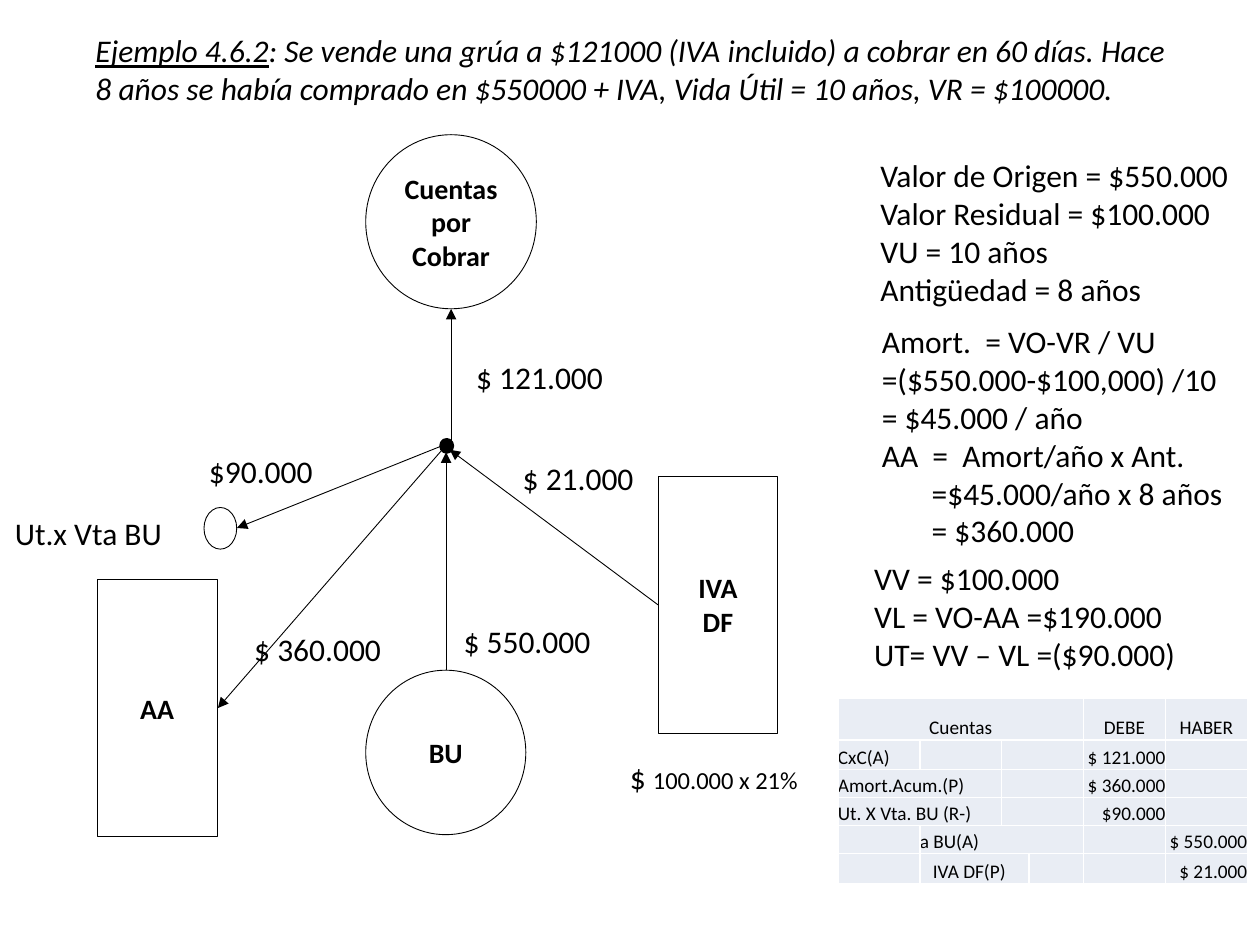
from dataclasses import dataclass

from lxml import etree
from pptx import Presentation
from pptx import util as u
from pptx.dml.color import RGBColor
from pptx.enum import shapes, text
from pptx.oxml import ns

Pt = u.Pt
LEFT, MID, RIGHT = text.PP_ALIGN.LEFT, text.PP_ALIGN.CENTER, text.PP_ALIGN.RIGHT
OVAL, RECT = shapes.MSO_SHAPE.OVAL, shapes.MSO_SHAPE.RECTANGLE


@dataclass(frozen=True)
class Theme:
    face: str = "Calibri"
    ink: RGBColor = RGBColor(0, 0, 0)
    pale: RGBColor = RGBColor(0xE9, 0xED, 0xF4)
    rule: str = "FFFFFF"
    body: float = 18
    node: float = 16
    note: float = 14
    cell: float = 11
    thin: float = 0.5


class Sketch:
    """Draws account diagrams on one slide in a single style."""

    def __init__(self, slide, theme):
        self.slide, self.theme = slide, theme

    def style(self, font, size, bold=False, italic=False):
        font.name, font.size = self.theme.face, Pt(size)
        font.bold, font.italic = bold, italic
        font.color.rgb = self.theme.ink

    def box(self, x, y, w, h, lines, wrap=True, indent=0, start=0, italic=False):
        frame = self.slide.shapes.add_textbox(Pt(x), Pt(y), Pt(w), Pt(h)).text_frame
        frame.word_wrap = wrap
        frame.auto_size = text.MSO_AUTO_SIZE.SHAPE_TO_FIT_TEXT
        for i, line in enumerate(lines):
            para = frame.paragraphs[0] if i == 0 else frame.add_paragraph()
            para.text = line
            if indent and i >= start:
                para._p.get_or_add_pPr().set("marL", str(Pt(indent)))
            self.style(para.font, self.theme.body, italic=italic)
        return frame.paragraphs[0]

    def label(self, x, y, w, words):
        return self.box(x, y, w, 29, [words], wrap=False)

    def node(self, kind, x, y, w, h, lines=(), solid=False):
        item = self.slide.shapes.add_shape(kind, Pt(x), Pt(y), Pt(w), Pt(h))
        item.shadow.inherit = False
        item.line.color.rgb = self.theme.ink
        item.line.width = Pt(2 if solid else self.theme.thin)
        if solid:
            item.fill.solid()
            item.fill.fore_color.rgb = self.theme.ink
        else:
            item.fill.background()
        frame = item.text_frame
        frame.margin_left = frame.margin_right = Pt(4)
        frame.vertical_anchor = text.MSO_ANCHOR.MIDDLE
        frame.text = "\n".join(lines)
        for para in frame.paragraphs:
            para.alignment = MID
            self.style(para.font, self.theme.node, bold=True)

    def arrow(self, x1, y1, x2, y2):
        link = self.slide.shapes.add_connector(
            shapes.MSO_CONNECTOR.STRAIGHT, Pt(x1), Pt(y1), Pt(x2), Pt(y2))
        link.line.color.rgb = self.theme.ink
        link.line.width = Pt(self.theme.thin)
        etree.SubElement(link.line._get_or_add_ln(), ns.qn("a:tailEnd"), type="triangle")
        etree.SubElement(link._element.spPr, ns.qn("a:effectLst"))

    def cell(self, cell, words="", align=LEFT, pad=0):
        cell.margin_left, cell.margin_right = Pt(pad), 0
        cell.margin_top = cell.margin_bottom = 0
        cell.vertical_anchor = text.MSO_ANCHOR.BOTTOM
        props = cell._tc.get_or_add_tcPr()
        for side in "LRTB":
            edge = etree.SubElement(props, ns.qn(f"a:ln{side}"), w=str(Pt(1)))
            fill = etree.SubElement(edge, ns.qn("a:solidFill"))
            etree.SubElement(fill, ns.qn("a:srgbClr"), val=self.theme.rule)
        cell.fill.solid()
        cell.fill.fore_color.rgb = self.theme.pale
        para = cell.text_frame.paragraphs[0]
        para.alignment = align
        self.style(para.font, self.theme.cell)
        if words:
            para.text = words
        else:
            para._p.get_or_add_endParaRPr().set("sz", str(self.theme.cell * 100))

    def table(self, x, y, cols, highs, rows):
        grid = self.slide.shapes.add_table(
            len(rows), len(cols), Pt(x), Pt(y), Pt(sum(cols)), Pt(sum(highs))).table
        grid.first_row = grid.horz_banding = False
        for col, wide in zip(grid.columns, cols):
            col.width = Pt(wide)
        for r, (row, high) in enumerate(zip(rows, highs)):
            grid.rows[r].height = Pt(high)
            c = 0
            for span, *rest in row:
                for k in range(c, c + span):
                    self.cell(grid.cell(r, k), *(rest if k == c else ()))
                if span > 1:
                    grid.cell(r, c).merge(grid.cell(r, c + span - 1))
                c += span


def main():
    deck = Presentation()
    deck.slide_width, deck.slide_height = Pt(720), Pt(540)
    theme = Theme()
    art = Sketch(deck.slides.add_slide(deck.slide_layouts[6]), theme)

    head = art.box(47.5, 14.4, 633.6, 51, ["Ejemplo 4.6.2"], italic=True)
    head.runs[0].font.underline = True
    head.add_run().text = (
        ": Se vende una grúa a $121000 (IVA incluido) a cobrar en 60 días. "
        "Hace 8 años se había comprado en $550000 + IVA, Vida Útil = 10 años, "
        "VR = $100000.")

    for kind, x, y, w, h, *lines in (
        (OVAL, 209, 77, 97.5, 99.5, "Cuentas por Cobrar"),
        (RECT, 376, 272, 68.5, 147, "IVA", "DF"),
        (OVAL, 209, 383, 91.5, 94, "BU"),
        (RECT, 55.5, 331, 68.5, 147, "AA"),
        (OVAL, 116.6, 290, 18.7, 23.8),
    ):
        art.node(kind, x, y, w, h, lines)
    art.node(OVAL, 252, 251.3, 6.5, 7, solid=True)

    for ends in (
        (376, 345.6, 257, 257),
        (257.8, 255, 257.8, 176.5),
        (252, 255, 135.4, 301.7),
        (252.7, 257, 124.5, 404.6),
        (254.9, 383, 254.9, 258.5),
    ):
        art.arrow(*ends)

    for spot in (
        (112.3, 254.9, 78.5, "$90.000"),
        (291.6, 258.5, 78.5, "$ 21.000"),
        (265, 200.9, 87.8, "$ 121.000"),
        (138.2, 356.4, 87.8, "$ 360.000"),
        (257.8, 352, 87.8, "$ 550.000"),
        (1.4, 290.2, 108.7, "Ut.x Vta BU"),
    ):
        art.label(*spot)
    base = art.label(352.8, 429.8, 111.6, "$ ")
    rate = base.add_run()
    rate.text = "100.000 x 21%"
    rate.font.size = Pt(theme.note)

    art.box(496, 85.7, 215.3, 94.3, [
        "Valor de Origen = $550.000", "Valor Residual = $100.000",
        "VU = 10 años", "Antigüedad = 8 años"])
    art.box(496.8, 180.7, 209.5, 138.2, [
        "Amort.  = VO-VR / VU", "=($550.000-$100,000) /10", "= $45.000 / año",
        "AA  =  Amort/año x Ant.", "=$45.000/año x 8 años", "= $360.000"],
        indent=28.5, start=4)
    art.box(492.5, 316, 213, 72.7, [
        "VV = $100.000", "VL = VO-AA =$190.000", "UT= VV – VL =($90.000)"])

    art.table(478.8, 398.9, (46.8, 46.8, 15.6, 31.2, 46.8, 46.8),
              (24, 17, 16, 16, 16, 17), (
        ((4, "Cuentas", MID), (1, "DEBE", MID), (1, "HABER", MID)),
        ((1, "CxC(A)"), (1,), (2,), (1, "$ 121.000", RIGHT), (1,)),
        ((2, "Amort.Acum.(P)"), (2,), (1, "$ 360.000", RIGHT), (1,)),
        ((2, "Ut. X Vta. BU (R-)"), (2,), (1, "$90.000", RIGHT), (1,)),
        ((1,), (3, "a BU(A)"), (1,), (1, "$ 550.000", RIGHT)),
        ((1,), (2, "IVA DF(P)", LEFT, 7.5), (1,), (1,), (1, "$ 21.000", RIGHT)),
    ))
    deck.save("out.pptx")


if __name__ == "__main__":
    main()
